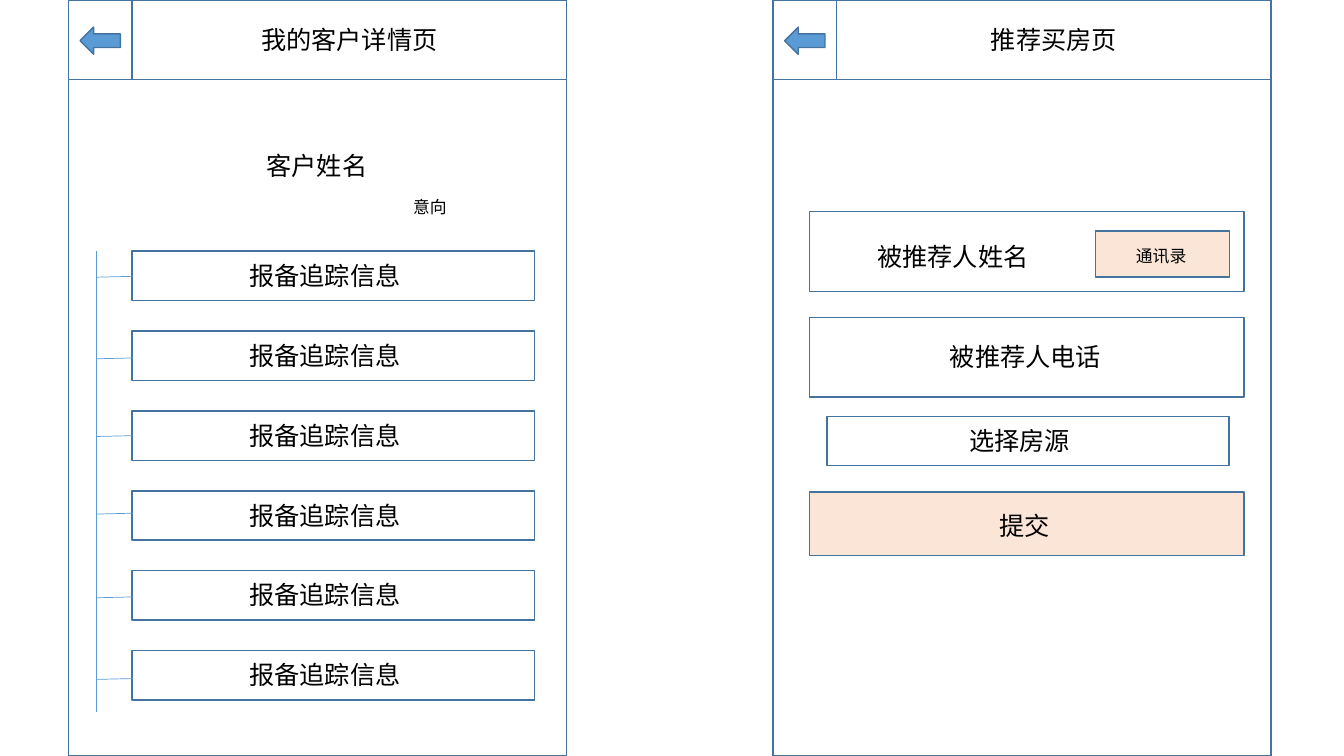
import pptx
import pptx.dml.color
import pptx.enum.shapes
import pptx.enum.text
import pptx.oxml.ns
import pptx.util
from lxml import etree

Pt = pptx.util.Pt
SHAPES = pptx.enum.shapes.MSO_SHAPE
FONT = "Noto Sans CJK SC"
WHITE, PEACH, BLACK = "FFFFFF", "FBE5D6", "000000"
BLUE, OUTLINE = "5B9BD5", "43739E"


def color(hex_text):
    """Turn a hex string into a colour."""
    return pptx.dml.color.RGBColor.from_string(hex_text)


def add_box(s, x, y, w, h, fill=WHITE, kind=SHAPES.RECTANGLE):
    """Add an outlined preset shape."""
    sp = s.shapes.add_shape(kind, Pt(x), Pt(y), Pt(w), Pt(h))
    sp.shadow.inherit = False
    sp.fill.solid()
    sp.fill.fore_color.rgb = color(fill)
    sp.line.color.rgb = color(OUTLINE)
    sp.line.width = Pt(1)


def add_label(s, text, x, y, w=149, size=18, fill=WHITE):
    """Add a centred text box that is as tall as one line of text."""
    height = 29 if size == 18 else 21.8
    sp = s.shapes.add_textbox(Pt(x), Pt(y), Pt(w), Pt(height))
    sp.fill.solid()
    sp.fill.fore_color.rgb = color(fill)
    tf = sp.text_frame
    tf.word_wrap = True
    tf.auto_size = pptx.enum.text.MSO_AUTO_SIZE.SHAPE_TO_FIT_TEXT
    tf.text = text
    p = tf.paragraphs[0]
    p.alignment = pptx.enum.text.PP_ALIGN.CENTER
    r = p.runs[0]
    r.font.size = Pt(size)
    r.font.name = FONT
    r.font.color.rgb = color(BLACK)
    ea = etree.SubElement(r.font._element, pptx.oxml.ns.qn("a:ea"))
    ea.set("typeface", FONT)


def add_line(s, x1, y1, x2, y2):
    """Add a thin straight line."""
    line = s.shapes.add_connector(
        pptx.enum.shapes.MSO_CONNECTOR.STRAIGHT, Pt(x1), Pt(y1), Pt(x2), Pt(y2))
    line.line.color.rgb = color(BLUE)
    line.line.width = Pt(0.5)
    etree.SubElement(line._element.spPr, pptx.oxml.ns.qn("a:effectLst"))


def add_screen(s, x, title):
    """Add a phone screen with a back button and a title bar."""
    add_box(s, x, 0, 355.7, 540)
    add_box(s, x + 45.4, 0, 310.3, 56.9)
    add_box(s, x, 0, 45.4, 56.9)
    add_box(s, x + 8.2, 19.4, 28.8, 19.4, BLUE, SHAPES.LEFT_ARROW)
    add_label(s, title, x + 126, 13.7)


def add_row(s, text, x, y):
    """Add a narrow row with its text."""
    add_box(s, x, y, 287.3, 35.3)
    add_label(s, text, x + 68.6, y + 2.9, 138.2)


def add_customer_screen(s):
    """Add the customer details screen with its tracking timeline."""
    add_screen(s, 49, "我的客户详情页")
    add_label(s, "客户姓名", 151.9, 103.7)
    for i in range(6):
        add_row(s, "报备追踪信息", 94.3, 179.3 + 57.1 * i)
    add_label(s, "意向", 232.6, 136.8, size=12)
    add_line(s, 68.7, 179.3, 68.7, 508.3)
    for y in (198, 256.3, 311.8, 367.2, 427, 485.3):
        add_line(s, 68.7, y, 94.7, y - 0.6)


def add_referral_screen(s):
    """Add the home referral screen with its form."""
    add_screen(s, 552.3, "推荐买房页")
    for y, h, fill in ((151.2, 56.9, WHITE), (226.8, 56.9, WHITE),
                       (351.4, 45.4, PEACH)):
        add_box(s, 578.2, y, 310.3, h, fill)
    add_label(s, "被推荐人姓名", 606.2, 168.5)
    add_label(s, "被推荐人电话", 658.1, 240.5)
    add_box(s, 782.6, 164.9, 95.8, 33.1, PEACH)
    add_label(s, "通讯录", 792, 172.1, 74.9, 12, PEACH)
    add_row(s, "选择房源", 590.6, 297.4)
    add_label(s, "提交", 657.4, 360.7, fill=PEACH)


def main():
    """Build the slide and save it."""
    prs = pptx.Presentation()
    prs.slide_width, prs.slide_height = Pt(960), Pt(540)
    s = prs.slides.add_slide(prs.slide_layouts[6])
    add_customer_screen(s)
    add_referral_screen(s)
    prs.save("out.pptx")


main()
